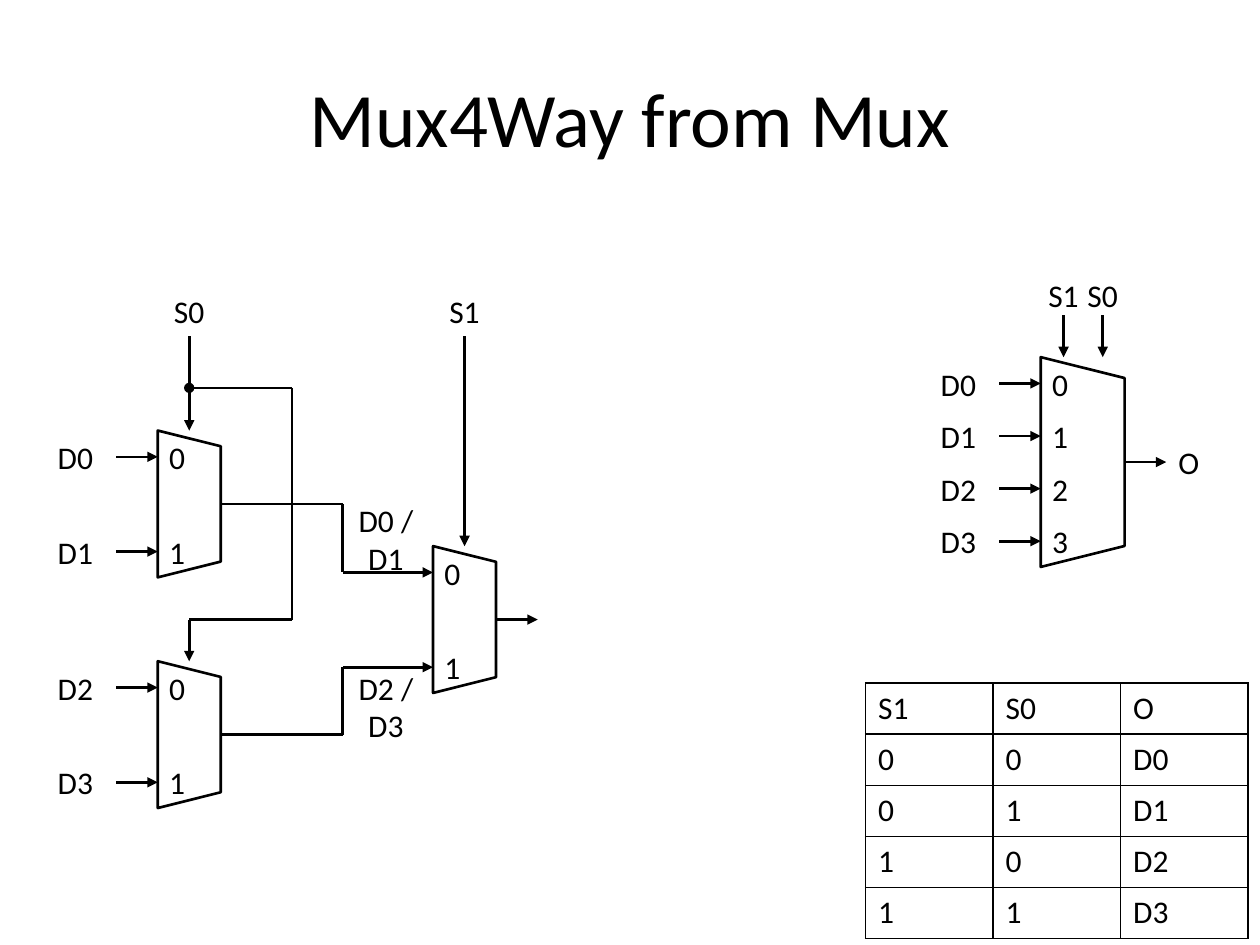
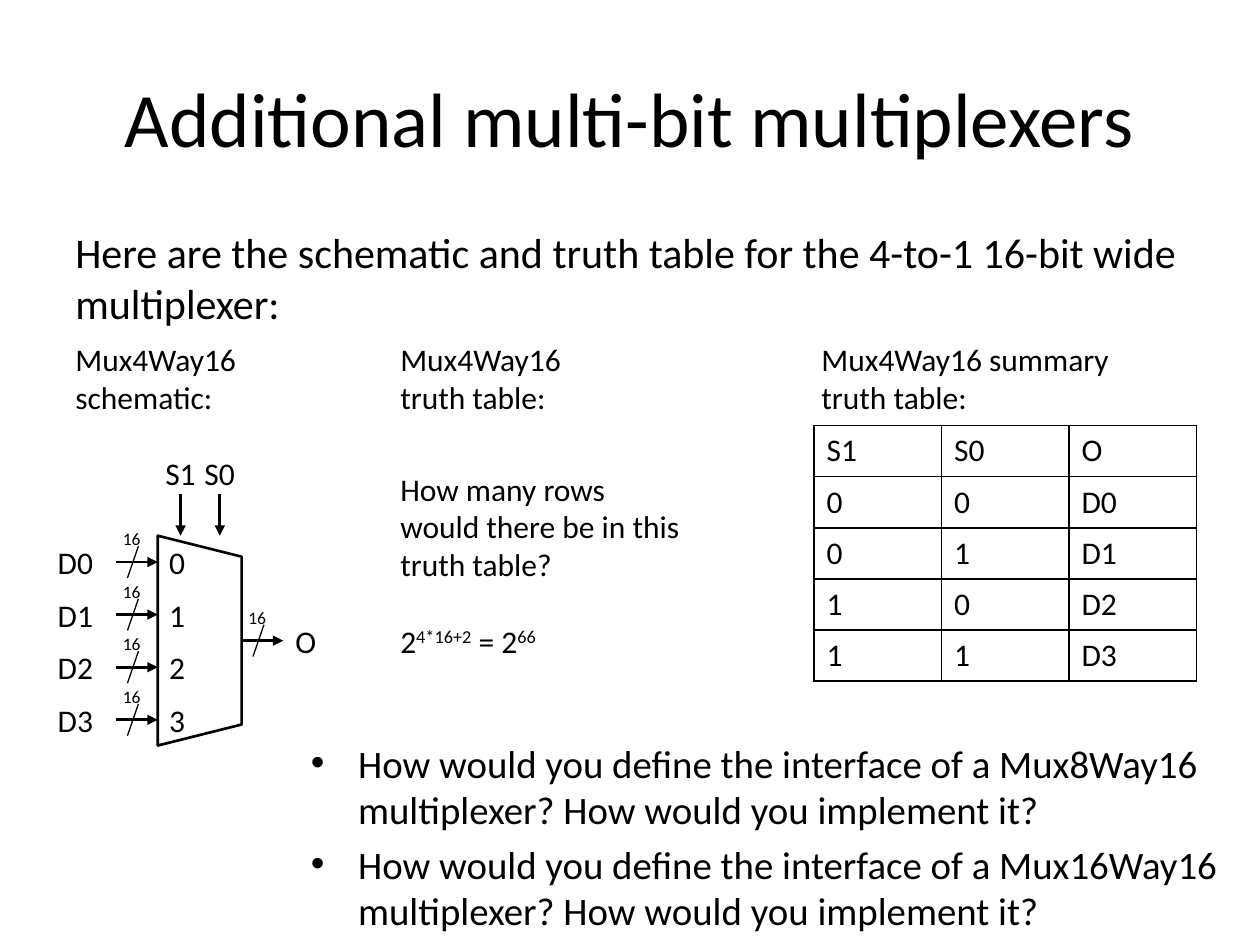
from dataclasses import dataclass
from itertools import pairwise
from typing import Any

from lxml.etree import SubElement
from pptx import Presentation
from pptx.dml.color import RGBColor
from pptx.enum.shapes import MSO_CONNECTOR as Link, MSO_SHAPE as Preset
from pptx.enum.text import MSO_ANCHOR as Anchor, PP_ALIGN as Align
from pptx.oxml.ns import qn
from pptx.util import Cm, Pt

INK = "000000"
PAPER = "FFFFFF"
FONT = "Calibri"
LEAD = 0.84
LABEL_WIDTH, LABEL_HEIGHT = 1.32, 0.64
FIRST_INPUT = 0.53
TRUTH_ROWS = ["S1 S0 O", "0 0 D0", "0 1 D1", "1 0 D2", "1 1 D3"]

Point = tuple[float, float]
Frame = tuple[float, float, float, float]


@dataclass(frozen=True)
class Style:
    """Text format of one box."""

    size: float = 18
    align: Align = Align.LEFT
    anchor: Anchor = Anchor.MIDDLE
    gap: float = 0
    bullet: bool = False


LABEL = Style(align=Align.CENTER)
TITLE = Style(size=44, align=Align.CENTER)
BITS = Style(size=10, align=Align.CENTER)


@dataclass(frozen=True)
class Mux:
    """A multiplexer outline with its ports, in centimetres."""

    left: float
    top: float
    inputs: tuple[str, ...] = ()
    ports: int = 2
    width: float = 1.27
    height: float = 2.96
    pitch: float = 1.91
    selects: tuple[str, ...] = ()
    output: str = ""
    bits: str = ""

    @property
    def right(self) -> float:
        """Return the x of the output side."""
        return self.left + self.width

    @property
    def centre(self) -> float:
        """Return the x of the centre."""
        return self.left + self.width / 2

    @property
    def middle(self) -> float:
        """Return the y of the output."""
        return self.top + self.height / 2

    def input_y(self, index: int) -> float:
        """Return the y of an input port."""
        return self.top + FIRST_INPUT + index * self.pitch


def color(value: str) -> RGBColor:
    """Turn a hex string into a colour."""
    return RGBColor.from_string(value)


def apply(target: Any, values: dict[str, Any]) -> None:
    """Set every named attribute on the target."""
    for name, value in values.items():
        setattr(target, name, value)


def write(para: Any, text: str, style: Style, raised: bool = False) -> None:
    """Append a formatted span to a paragraph."""
    span = para.add_run()
    span.text = text
    apply(span.font, {"name": FONT, "size": Pt(style.size)})
    span.font.color.rgb = color(INK)
    if raised:
        span.font._element.set("baseline", "30000")


def add_bullet(para: Any) -> None:
    """Give a paragraph a hanging bullet."""
    props = para._p.get_or_add_pPr()
    for name, value in {"marL": Cm(0.95), "indent": Cm(-0.95)}.items():
        props.set(name, str(int(value)))
    SubElement(props, qn("a:buFont")).set("typeface", "Arial")
    SubElement(props, qn("a:buChar")).set("char", "•")


def add_text(page: Any, frame: Frame, lines: list[Any], style: Style) -> None:
    """Add a text box; a line is a string or a list of (text, raised)."""
    box = page.shapes.add_textbox(*map(Cm, frame)).text_frame
    apply(box, {"word_wrap": True, "vertical_anchor": style.anchor})
    for index, line in enumerate(lines):
        para = box.add_paragraph() if index else box.paragraphs[0]
        para.alignment = style.align
        if index and style.gap:
            para.space_before = Pt(style.gap)
        if style.bullet:
            add_bullet(para)
        for text, raised in [(line, False)] if isinstance(line, str) else line:
            write(para, text, style, raised)


def add_label(page: Any, x: float, y: float, text: str,
              width: float = LABEL_WIDTH) -> None:
    """Add a label centred on a point."""
    frame = (x - width / 2, y - LABEL_HEIGHT / 2, width, LABEL_HEIGHT)
    add_text(page, frame, [text], LABEL)


def add_wire(page: Any, points: list[Point], arrow: bool = True,
             weight: float = 1.5) -> None:
    """Draw straight segments through the points, with an arrow at the end."""
    for start, end in pairwise(points):
        wire = page.shapes.add_connector(Link.STRAIGHT, *map(Cm, start + end))
        wire.line.width = Pt(weight)
        wire.line.color.rgb = color(INK)
        if arrow and end == points[-1]:
            SubElement(wire.line._get_or_add_ln(), qn("a:tailEnd")).set("type", "triangle")
        SubElement(wire._element.spPr, qn("a:effectLst"))


def add_lead(page: Any, x: float, y: float, bits: str) -> None:
    """Draw a short arrow to the right, marked with its bit width if any."""
    add_wire(page, [(x, y), (x + LEAD, y)])
    if bits:
        add_wire(page, [(x + 0.23, y + 0.32), (x + 0.45, y - 0.32)], False, 0.75)
        add_text(page, (x - 0.14, y - 0.64, 0.91, 0.33), [bits], BITS)


def add_mux(page: Any, mux: Mux) -> None:
    """Draw a multiplexer with its port numbers, leads and labels."""
    outline = page.shapes.add_shape(
        Preset.TRAPEZOID, Cm(mux.centre - mux.height / 2),
        Cm(mux.middle - mux.width / 2), Cm(mux.height), Cm(mux.width))
    outline.rotation = 90
    outline.shadow.inherit = False
    outline.fill.background()
    outline.line.width = Pt(1.5)
    outline.line.color.rgb = color(INK)
    for index in range(mux.ports):
        add_label(page, mux.left + 0.3, mux.input_y(index), str(index), LABEL_HEIGHT)
    for index, name in enumerate(mux.inputs):
        y = mux.input_y(index)
        add_lead(page, mux.left - LEAD, y, mux.bits)
        add_label(page, mux.left - 1.66, y, name)
    for index, name in enumerate(mux.selects):
        x = mux.left + 0.46 + index * 0.79
        add_wire(page, [(x, mux.top - LEAD), (x, mux.top)])
        add_label(page, x, mux.top - 1.26, name)
    if mux.output:
        add_lead(page, mux.right, mux.middle, mux.bits)
        add_label(page, mux.right + LEAD + 0.3, mux.middle, mux.output, 0.61)


def four_way(left: float, top: float, bits: str = "") -> Mux:
    """Describe a four-way multiplexer."""
    return Mux(left, top, ("D0", "D1", "D2", "D3"), 4, 1.69, 4.23, 1.06,
               ("S1", "S0"), "O", bits)


def add_truth_table(page: Any, left: float, top: float) -> None:
    """Add the truth table with thin borders all round."""
    rows = [row.split() for row in TRUTH_ROWS]
    table = page.shapes.add_table(len(rows), 3, Cm(left), Cm(top), Cm(7.71), Cm(5.15)).table
    apply(table, {"first_row": False, "horz_banding": False})
    for column in table.columns:
        column.width = Cm(2.57)
    for row, texts in zip(table.rows, rows):
        row.height = Cm(1.03)
        for cell, text in zip(row.cells, texts):
            write(cell.text_frame.paragraphs[0], text, Style())
            props = cell._tc.get_or_add_tcPr()
            for side in ("lnL", "lnR", "lnT", "lnB"):
                border = SubElement(props, qn(f"a:{side}"), w=str(int(Pt(1))))
                fill = SubElement(border, qn("a:solidFill"))
                SubElement(fill, qn("a:srgbClr"), val=INK)
            cell.fill.background()


def add_page(deck: Any, title: str) -> Any:
    """Add a blank page with a title."""
    page = deck.slides.add_slide(deck.slide_layouts[6])
    page.background.fill.solid()
    page.background.fill.fore_color.rgb = color(PAPER)
    add_text(page, (1.27, 0.76, 22.86, 3.18), [title], TITLE)
    return page


def build_composition(deck: Any) -> None:
    """Build the page that composes a four-way mux from two-way ones."""
    page = add_page(deck, "Mux4Way from Mux")
    upper = Mux(3.18, 8.68, ("D0", "D1"))
    lower = Mux(3.18, 13.33, ("D2", "D3"))
    final = Mux(8.73, 11.01)
    for mux in (upper, lower, final, four_way(20.98, 7.2)):
        add_mux(page, mux)
    add_truth_table(page, 17.45, 13.77)

    select_top, branch_y, branch_x, bend_x = 6.78, 7.82, 5.89, 6.91
    for mux, name in ((upper, "S0"), (final, "S1")):
        add_wire(page, [(mux.centre, select_top), (mux.centre, mux.top)])
        add_label(page, mux.centre, 6.26, name)
    add_wire(page, [(upper.centre, branch_y), (branch_x, branch_y),
                    (branch_x, final.middle), (lower.centre, final.middle),
                    (lower.centre, lower.top)])
    for index, mux in enumerate((upper, lower)):
        y = final.input_y(index)
        add_wire(page, [(mux.right, mux.middle), (bend_x, mux.middle),
                        (bend_x, y), (final.left, y)])
    add_lead(page, final.right, final.middle, "")
    for top, text in ((10.49, "D0 / D1"), (13.87, "D2 / D3")):
        add_text(page, (6.68, top, 2.2, 0.74), [text], LABEL)

    dot = 0.18
    joint = page.shapes.add_shape(Preset.OVAL, Cm(upper.centre - dot / 2),
                                  Cm(branch_y - dot / 2), Cm(dot), Cm(dot))
    joint.shadow.inherit = False
    joint.fill.solid()
    joint.fill.fore_color.rgb = color(INK)
    joint.line.width = Pt(0.75)
    joint.line.color.rgb = color(INK)


def build_wide(deck: Any) -> None:
    """Build the page on sixteen-bit multiplexers."""
    page = add_page(deck, "Additional multi-bit multiplexers")
    add_mux(page, four_way(3.18, 10.8, "16"))
    add_truth_table(page, 16.41, 8.58)
    headings = [
        (1.27, 6.15, ["Mux4Way16 schematic:"]),
        (7.82, 6.15, ["Mux4Way16", "truth table:"]),
        (16.31, 7.62, ["Mux4Way16 summary truth table:"]),
    ]
    for left, width, lines in headings:
        add_text(page, (left, 7.09, width, 1.07), lines, Style())
    add_text(page, (7.82, 9.63, 6.15, 3.5), [
        "How many rows would there be in this truth table?",
        [("2", False), ("4*16+2", True), (" = 2", False), ("66", True)],
    ], Style(gap=22))
    add_text(page, (1.27, 4.45, 22.86, 2.21), [
        "Here are the schematic and truth table for the 4-to-1 16-bit wide multiplexer:",
    ], Style(size=24, anchor=Anchor.TOP))
    add_text(page, (6.02, 14.78, 18.97, 3.63), [
        f"How would you define the interface of a {name} multiplexer? "
        "How would you implement it?" for name in ("Mux8Way16", "Mux16Way16")
    ], Style(size=22.2, anchor=Anchor.TOP, gap=4.4, bullet=True))


def main() -> None:
    """Build and save the deck."""
    deck = Presentation()
    apply(deck, {"slide_width": Cm(25.4), "slide_height": Cm(19.05)})
    build_composition(deck)
    build_wide(deck)
    deck.save("out.pptx")


if __name__ == "__main__":
    main()
